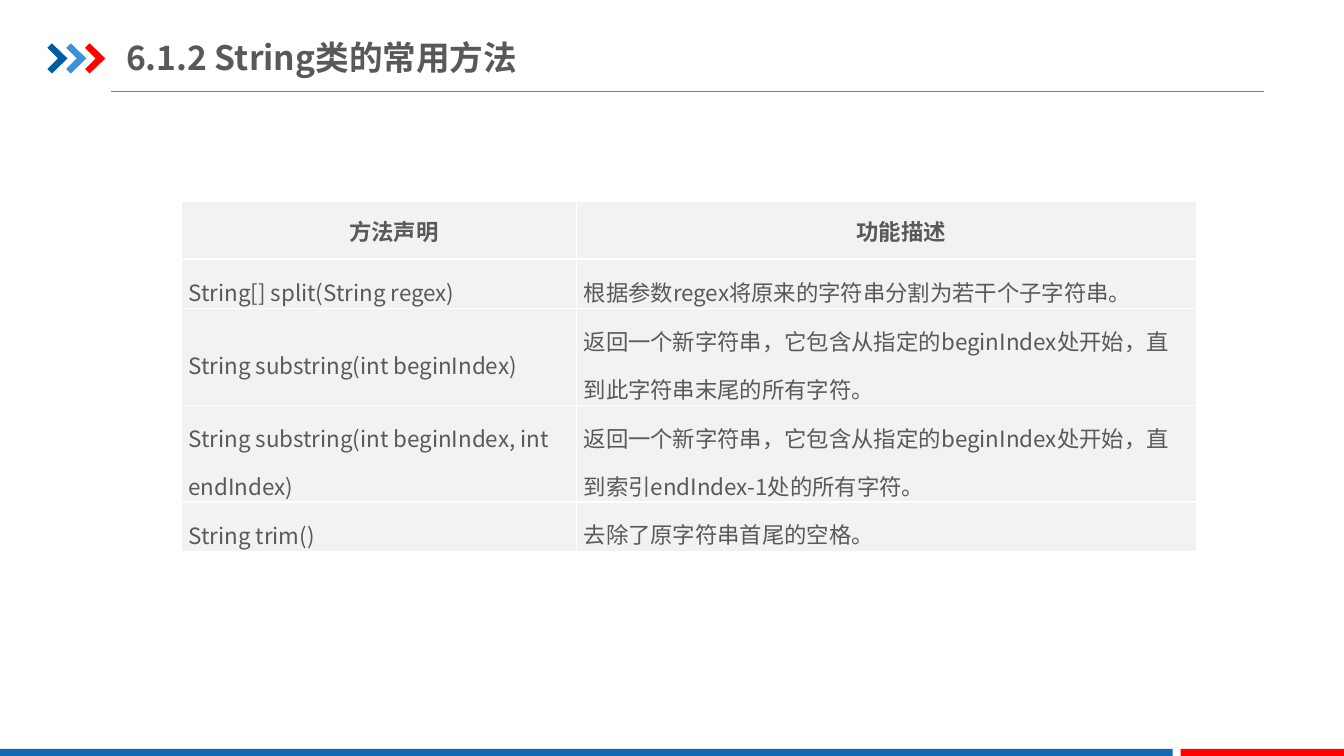
import pptx
import pptx.dml.color
import pptx.enum.shapes
import pptx.enum.text
import pptx.oxml
import pptx.oxml.ns
import pptx.util
from pptx.util import Inches

FONT = "Noto Sans CJK SC"
GREY = "595959"
ALIGN = pptx.enum.text.PP_ALIGN
MIDDLE = pptx.enum.text.MSO_ANCHOR.MIDDLE
TOP = pptx.enum.text.MSO_ANCHOR.TOP

HEADER = ("方法声明", "功能描述")
METHODS = [
    ("String[] split(String regex)",
     "根据参数regex将原来的字符串分割为若干个子字符串。"),
    ("String substring(int beginIndex)",
     "返回一个新字符串，它包含从指定的beginIndex处开始，直到此字符串末尾的所有字符。"),
    ("String substring(int beginIndex, int endIndex)",
     "返回一个新字符串，它包含从指定的beginIndex处开始，直到索引endIndex-1处的所有字符。"),
    ("String trim()", "去除了原字符串首尾的空格。"),
]


def color(value):
    return pptx.dml.color.RGBColor.from_string(value)


def xml(tag, body="", attrs=""):
    ns = pptx.oxml.ns.nsdecls("a")
    return pptx.oxml.parse_xml(f"<a:{tag} {ns} {attrs}>{body}</a:{tag}>")


def write(tf, text, size=16, bold=False, align=ALIGN.LEFT, spacing=1.0, indent=0):
    p = tf.paragraphs[0]
    p.alignment = align
    p.line_spacing = spacing
    if indent:
        pPr = p._p.get_or_add_pPr()
        pPr.set("marL", "0")
        pPr.set("indent", str(Inches(indent)))
    r = p.add_run()
    r.text = text
    r.font.size = pptx.util.Pt(size)
    r.font.bold = bold
    r.font.color.rgb = color(GREY)
    r.font.name = FONT
    latin = r._r.rPr.find(pptx.oxml.ns.qn("a:latin"))
    latin.addnext(xml("ea", attrs=f'typeface="{FONT}"'))


def paint(sp, fill):
    sp.shadow.inherit = False
    sp.fill.solid()
    sp.fill.fore_color.rgb = color(fill)
    sp.line.fill.background()


def add_chevrons(s, left, top, height):
    """Three arrow outlines, drawn on a grid of 0.05 inch for a height of 0.3."""
    unit = height / 6
    outline = [(0, 0.9), (0.9, 0), (4, 3), (0.9, 6), (0, 5.1), (2.1, 3)]
    for i, fill in enumerate(("005DA2", "3992DB", "FF0000")):
        x0 = left + i * 0.187
        points = [(Inches(x0 + x * unit), Inches(top + y * unit)) for x, y in outline]
        builder = s.shapes.build_freeform(*points[0])
        builder.add_line_segments(points[1:], close=True)
        paint(builder.convert_to_shape(), fill)


def add_heading(s, left, top, width, height, text):
    add_chevrons(s, left - 0.78, top + 0.14, 0.3)
    y = Inches(top + 0.62)
    rule = s.shapes.add_connector(pptx.enum.shapes.MSO_CONNECTOR.STRAIGHT,
                                  Inches(left - 0.15), y, Inches(left + 11.29), y)
    rule.line.color.rgb = color("808080")
    rule.line.width = pptx.util.Pt(0.75)
    rule._element.spPr.append(xml("effectLst"))

    title = s.shapes.title
    title.left, title.top = Inches(left), Inches(top)
    title.width, title.height = Inches(width), Inches(height)
    tf = title.text_frame
    tf.auto_size = pptx.enum.text.MSO_AUTO_SIZE.NONE
    tf.word_wrap = True
    tf.vertical_anchor = MIDDLE
    tf.margin_left = tf.margin_right = 0
    tf.margin_top = tf.margin_bottom = Inches(0.07)
    write(tf, text, size=24, bold=True)


def format_cell(cell):
    cell.margin_left = cell.margin_right = Inches(0.07)
    cell.margin_top = cell.margin_bottom = 0
    tcPr = cell._tc.get_or_add_tcPr()
    for side in ("lnL", "lnR", "lnT", "lnB"):
        tcPr.append(xml(side, '<a:solidFill><a:srgbClr val="FFFFFF"/></a:solidFill>',
                        f'w="{pptx.util.Pt(1)}"'))
    cell.fill.solid()
    cell.fill.fore_color.rgb = color("F2F2F2")


def add_method_table(s, left, top, widths, header_height, row_height):
    height = header_height + row_height * len(METHODS)
    table = s.shapes.add_table(len(METHODS) + 1, len(widths), Inches(left), Inches(top),
                               Inches(sum(widths)), Inches(height)).table
    table.first_row = table.horz_banding = False
    for column, width in zip(table.columns, widths):
        column.width = Inches(width)
    for i, texts in enumerate([HEADER] + METHODS):
        table.rows[i].height = Inches(row_height if i else header_height)
        for j, text in enumerate(texts):
            cell = table.cell(i, j)
            format_cell(cell)
            if i == 0:
                cell.vertical_anchor = MIDDLE
                write(cell.text_frame, text, bold=True, align=ALIGN.CENTER, indent=0.29)
            else:
                cell.vertical_anchor = TOP if j else MIDDLE
                write(cell.text_frame, text, spacing=1.5)


def add_footer(s, top, height):
    for left, width, fill in ((0, 11.63, "1369B2"), (11.71, 1.63, "FF0000")):
        sp = s.shapes.add_shape(pptx.enum.shapes.MSO_SHAPE.RECTANGLE, Inches(left),
                                Inches(top), Inches(width), Inches(height))
        paint(sp, fill)


def main():
    prs = pptx.Presentation()
    prs.slide_width, prs.slide_height = Inches(13.33), Inches(7.5)
    s = prs.slides.add_slide(prs.slide_layouts.get_by_name("Title Only"))
    add_heading(s, 1.25, 0.29, 4.26, 0.55, "6.1.2 String类的常用方法")
    add_footer(s, 7.43, 0.09)
    add_method_table(s, 1.8, 2, (3.92, 6.15), 0.57, 0.49)
    prs.save("out.pptx")


if __name__ == "__main__":
    main()
